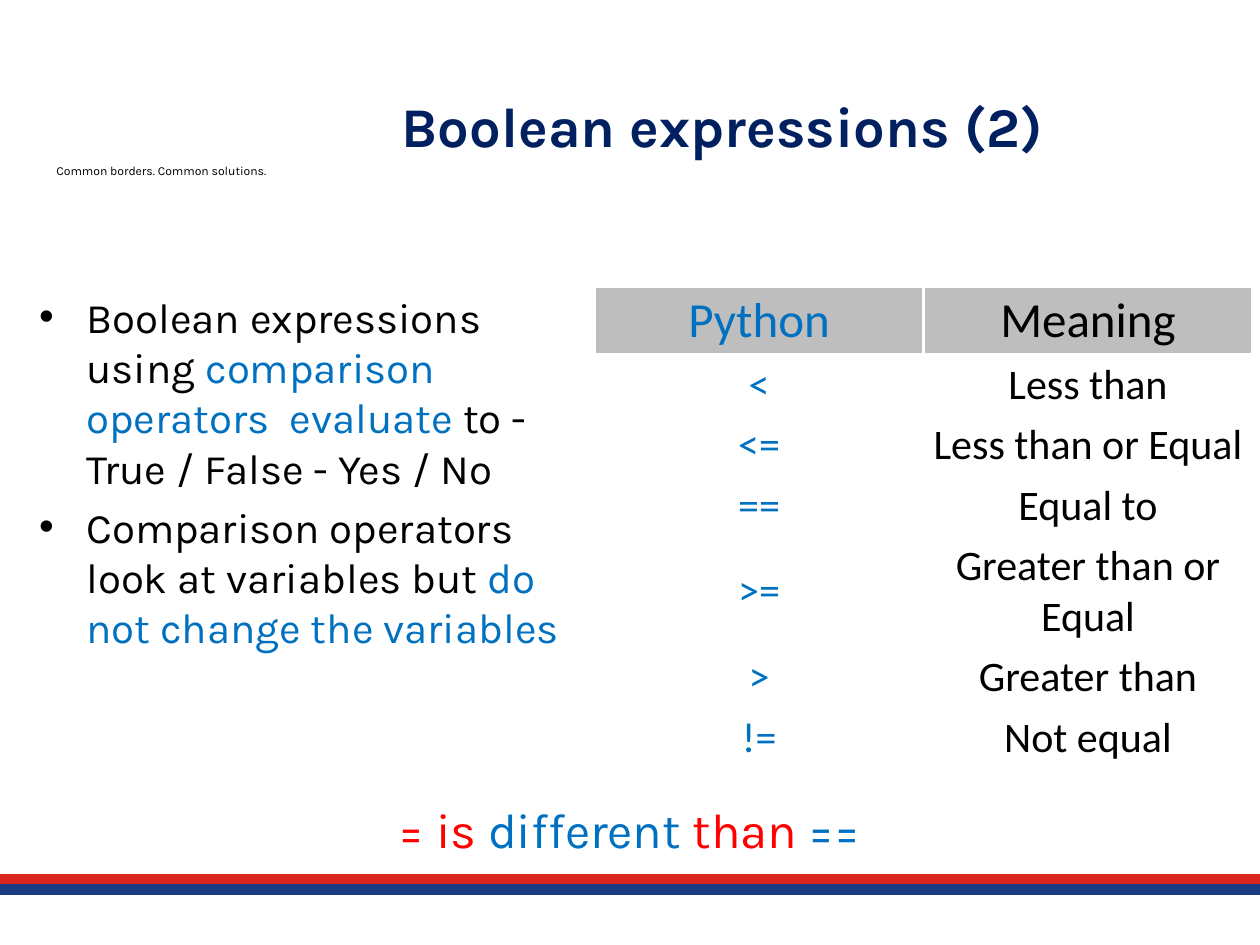
import pptx
import pptx.util
import pptx.dml.color
import pptx.enum.shapes
import pptx.enum.text
import pptx.oxml
import pptx.oxml.ns
from lxml import etree

Inches, Pt = pptx.util.Inches, pptx.util.Pt
ALIGN = pptx.enum.text.PP_ALIGN
COLORS = {"black": "000000", "navy": "002060", "blue": "0070C0", "red": "FF0000",
          "stripe red": "DA251D", "stripe blue": "193C85",
          "header": "7F7F7F", "white": "FFFFFF"}
OPERATORS = [("Python", "Meaning"), ("<", "Less than"), ("<=", "Less than or Equal"),
             ("==", "Equal to"), (">=", "Greater than or Equal"),
             (">", "Greater than"), ("!=", "Not equal")]


def rgb(name):
    return pptx.dml.color.RGBColor.from_string(COLORS[name])


def add_spans(para, spans, size, font="Karla", bold=None):
    for text, color in spans:
        span = para.add_run()
        span.text = text
        span.font.name = font
        span.font.size = Pt(size)
        span.font.bold = bold
        span.font.color.rgb = rgb(color)


def place(shape, box):
    shape.left, shape.top, shape.width, shape.height = map(Inches, box)
    shape.text_frame.word_wrap = True
    shape.text_frame.auto_size = pptx.enum.text.MSO_AUTO_SIZE.NONE
    return shape.text_frame


def add_stripes(page, left, top, width):
    for row, color in enumerate(("stripe red", "stripe blue")):
        y = Inches(top + 0.08 * row)
        stripe = page.shapes.add_connector(
            pptx.enum.shapes.MSO_CONNECTOR.STRAIGHT,
            Inches(left), y, Inches(left + width), y)
        stripe.line.color.rgb = rgb(color)
        stripe.line.width = Pt(6)
        etree.SubElement(stripe._element.spPr, pptx.oxml.ns.qn("a:effectLst"))


def add_text(page, box, spans, size, align=ALIGN.LEFT):
    frame = place(page.shapes.add_textbox(*map(Inches, box)), box)
    para = frame.paragraphs[0]
    para.alignment = align
    add_spans(para, spans, size)
    return para


def fill_title(page, box, text):
    frame = place(page.shapes.title, box)
    add_spans(frame.paragraphs[0], [(text, "navy")], 32, bold=True)


def fill_body(page, box, items):
    frame = place(page.placeholders[1], box)
    for index, spans in enumerate(items):
        para = frame.add_paragraph() if index else frame.paragraphs[0]
        add_spans(para, spans, 24)


def set_borders(cell):
    props = cell._tc.get_or_add_tcPr()
    for index, side in enumerate(("lnL", "lnR", "lnT", "lnB")):
        props.insert(index, pptx.oxml.parse_xml(
            f'<a:{side} {pptx.oxml.ns.nsdecls("a")} w="{Pt(2)}"><a:solidFill>'
            f'<a:srgbClr val="{COLORS["white"]}"/></a:solidFill></a:{side}>'))


def shade_header(cell):
    cell.fill.solid()
    cell.fill.fore_color.rgb = rgb("header")
    color = cell._tc.tcPr.find(".//" + pptx.oxml.ns.qn("a:srgbClr"))
    etree.SubElement(color, pptx.oxml.ns.qn("a:alpha"), val="50000")


def add_operator_table(page, box, rows):
    table = page.shapes.add_table(len(rows), 2, *map(Inches, box)).table
    table.first_row = table.horz_banding = False
    for r, texts in enumerate(rows):
        # Rows grow to fit their text
        table.rows[r].height = Inches(0.41 if r else 0.43)
        for c, text in enumerate(texts):
            cell = table.cell(r, c)
            cell.vertical_anchor = pptx.enum.text.MSO_ANCHOR.MIDDLE
            cell.margin_left = cell.margin_right = Pt(2.6)
            cell.margin_top = cell.margin_bottom = Pt(2.6)
            para = cell.text_frame.paragraphs[0]
            para.alignment = ALIGN.CENTER
            add_spans(para, [(text, "black" if c else "blue")], 24 if r else 28, "Calibri")
            if r:
                cell.fill.background()
            else:
                shade_header(cell)
            set_borders(cell)


def build_slide(deck):
    page = deck.slides.add_slide(deck.slide_layouts[1])
    # Frame: footer stripes and slogan
    add_stripes(page, 0, 6.98, 10)
    add_text(page, (0.35, 1.25, 2.13, 0.22),
             [("Common borders. Common solutions.", "black")], 7)
    # Title and explanation
    fill_title(page, (2.19, 0.45, 7.09, 1.09), "Boolean expressions (2)")
    fill_body(page, (0.21, 2.26, 4.51, 4.26), [
        [("Boolean expressions using ", "black"),
         ("comparison operators  evaluate", "blue"),
         (" to - True / False - Yes / No", "black")],
        [("Comparison operators look at variables but ", "black"),
         ("do not change the variables", "blue")]])
    # Operators and closing remark
    add_operator_table(page, (4.72, 2.27, 5.22, 3.79), OPERATORS)
    remark = add_text(page, (2.74, 6.35, 4.51, 0.68),
                      [("= is ", "red"), ("different", "blue"),
                       (" than ", "red"), ("==", "blue")], 28, ALIGN.CENTER)
    remark.line_spacing = 0.9
    remark.space_before = Pt(10)


deck = pptx.Presentation()
deck.slide_width, deck.slide_height = Inches(10), Inches(7.5)
build_slide(deck)
deck.save("out.pptx")
